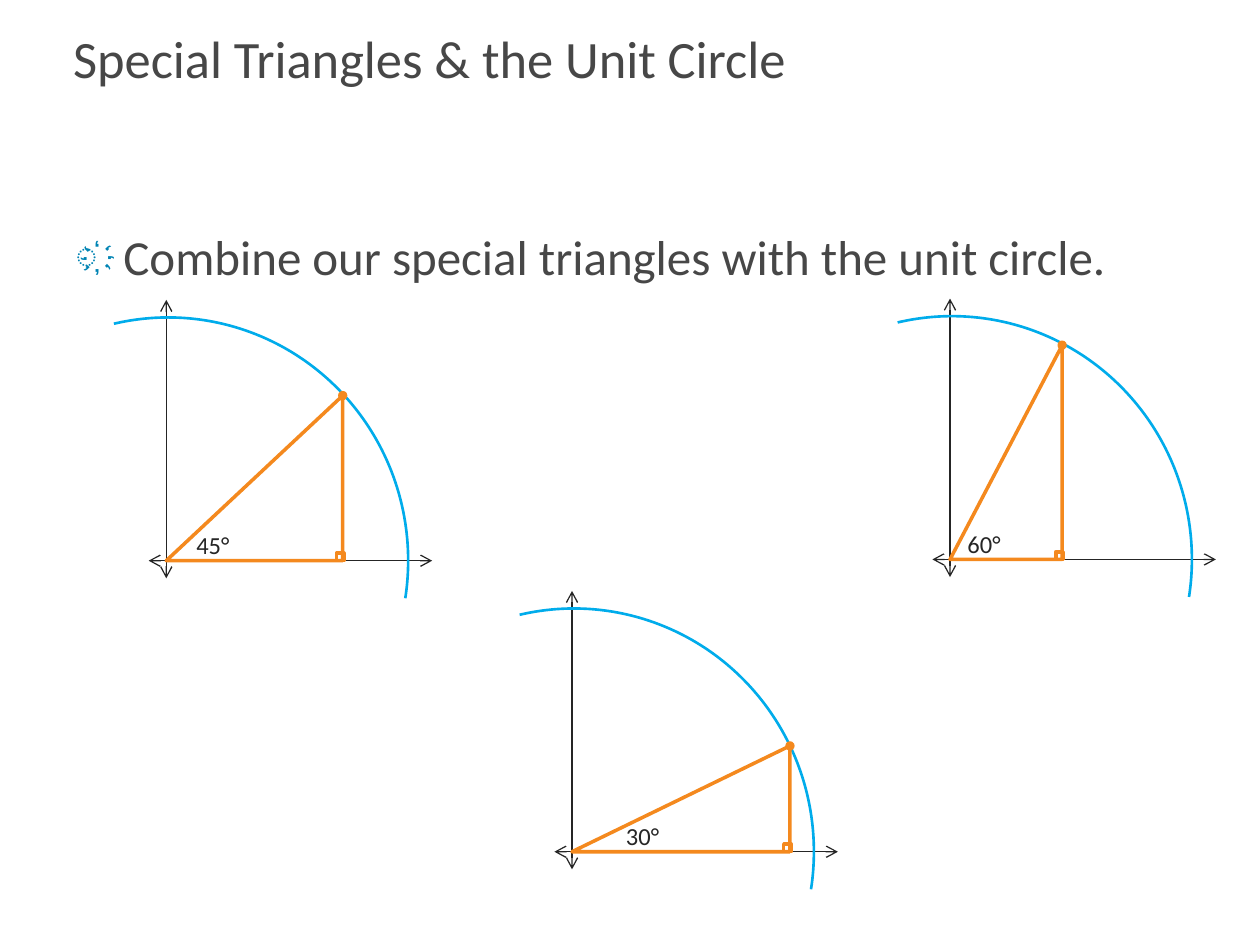
from lxml import etree
from pptx import Presentation, util as u
from pptx.dml import color
from pptx.enum import shapes, text
from pptx.oxml import ns

WIDTH, HEIGHT = 10, 7.5
FONT = "Calibri"
GREY, INK, AXIS = "474747", "262626", "252525"
BLUE, ORANGE, BULLET = "00ACEB", "F4891E", "0084B4"
MARK = 0.06  # side of the right-angle mark and diameter of the point

# origin x, origin y, triangle base, triangle height, label, label offset, label width
DIAGRAMS = [
    (1.32, 4.45, 1.40, 1.31, "45°", 0.14, 0.53),
    (4.54, 6.76, 1.73, 0.84, "30°", 0.33, 0.54),
    (7.54, 4.44, 0.89, 1.70, "60°", 0.04, 0.56),
]


def rgb(value):
    return color.RGBColor.from_string(value)


def inches(*values):
    return [u.Inches(value) for value in values]


def add_span(para, words, size, ink):
    span = para.add_run()
    span.text = words
    span.font.name = FONT
    span.font.size = u.Pt(size)
    span.font.color.rgb = rgb(ink)


def fill_placeholder(box, place, words, size, anchor):
    box.left, box.top, box.width, box.height = inches(*place)
    frame = box.text_frame
    frame.word_wrap = True
    frame.auto_size = text.MSO_AUTO_SIZE.NONE
    frame.vertical_anchor = anchor
    para = frame.paragraphs[0]
    para.alignment = text.PP_ALIGN.LEFT
    add_span(para, words, size, GREY)
    return para


def add_bullet(para, char, ink, percent, indent):
    props = para._p.get_or_add_pPr()
    props.set("marL", str(u.Inches(indent)))
    props.set("indent", str(-u.Inches(indent)))
    holder = etree.SubElement(props, ns.qn("a:buClr"))
    etree.SubElement(holder, ns.qn("a:srgbClr"), val=ink)
    etree.SubElement(props, ns.qn("a:buSzPct"), val=str(percent * 1000))
    etree.SubElement(props, ns.qn("a:buChar"), char=char)
    para.space_before = u.Pt(0)


def add_axis(group, start, end):
    axis = group.shapes.add_connector(
        shapes.MSO_CONNECTOR.STRAIGHT, *inches(*start, *end))
    axis.line.color.rgb = rgb(AXIS)
    axis.line.width = u.Pt(0.75)
    line = axis.line._get_or_add_ln()
    for end_name in ("a:headEnd", "a:tailEnd"):
        etree.SubElement(line, ns.qn(end_name), type="arrow")
    etree.SubElement(axis._element.spPr, ns.qn("a:effectLst"))


def add_outline(group, kind, place, ink, weight, fill=None):
    shape = group.shapes.add_shape(kind, *inches(*place))
    shape.shadow.inherit = False
    shape.line.color.rgb = rgb(ink)
    shape.line.width = u.Pt(weight)
    if fill:
        shape.fill.solid()
        shape.fill.fore_color.rgb = rgb(fill)
    else:
        shape.fill.background()
    return shape


def add_label(group, place, words):
    box = group.shapes.add_textbox(*inches(*place))
    box.text_frame.word_wrap = True
    box.text_frame.auto_size = text.MSO_AUTO_SIZE.SHAPE_TO_FIT_TEXT
    add_span(box.text_frame.paragraphs[0], words, 14, INK)


def add_diagram(page, x, y, base, height, angle, offset, label_width):
    group = page.shapes.add_group_shape()
    kinds = shapes.MSO_SHAPE

    # Axes and the part of the unit circle
    add_axis(group, (x, y - 2.07), (x, y + 0.14))
    add_axis(group, (x + 2.11, y), (x - 0.14, y))
    arc = add_outline(group, kinds.ARC, (x - 1.89, y - 1.93, 3.81, 3.86), BLUE, 1.5)
    arc.adjustments[0], arc.adjustments[1] = 154.26, 5.41

    # Triangle with its angle, right-angle mark and point on the circle
    add_label(group, (x + offset, y - 0.29, label_width, 0.34), angle)
    triangle = add_outline(
        group, kinds.RIGHT_TRIANGLE, (x, y - height, base, height), ORANGE, 2)
    triangle._element.spPr.xfrm.set("flipH", "1")
    add_outline(group, kinds.RECTANGLE,
                (x + base - 0.05, y - MARK, MARK, MARK), ORANGE, 2)
    add_outline(group, kinds.OVAL,
                (x + base - MARK / 2, y - height - MARK / 2, MARK, MARK),
                ORANGE, 1, ORANGE)


def main():
    deck = Presentation()
    deck.slide_width, deck.slide_height = inches(WIDTH, HEIGHT)
    page = deck.slides.add_slide(deck.slide_layouts[1])

    # Title and bullet
    fill_placeholder(page.shapes.title, (0.48, 0.08, 9.19, 0.75),
                     "Special Triangles & the Unit Circle", 30,
                     text.MSO_ANCHOR.MIDDLE)
    para = fill_placeholder(page.placeholders[1], (0.5, 1.75, 9, 0.71),
                            "Combine our special triangles with the unit circle.",
                            28, text.MSO_ANCHOR.TOP)
    add_bullet(para, "҉", BULLET, 75, 0.38)

    # Unit-circle diagrams
    for diagram in DIAGRAMS:
        add_diagram(page, *diagram)

    deck.save("out.pptx")


if __name__ == "__main__":
    main()
